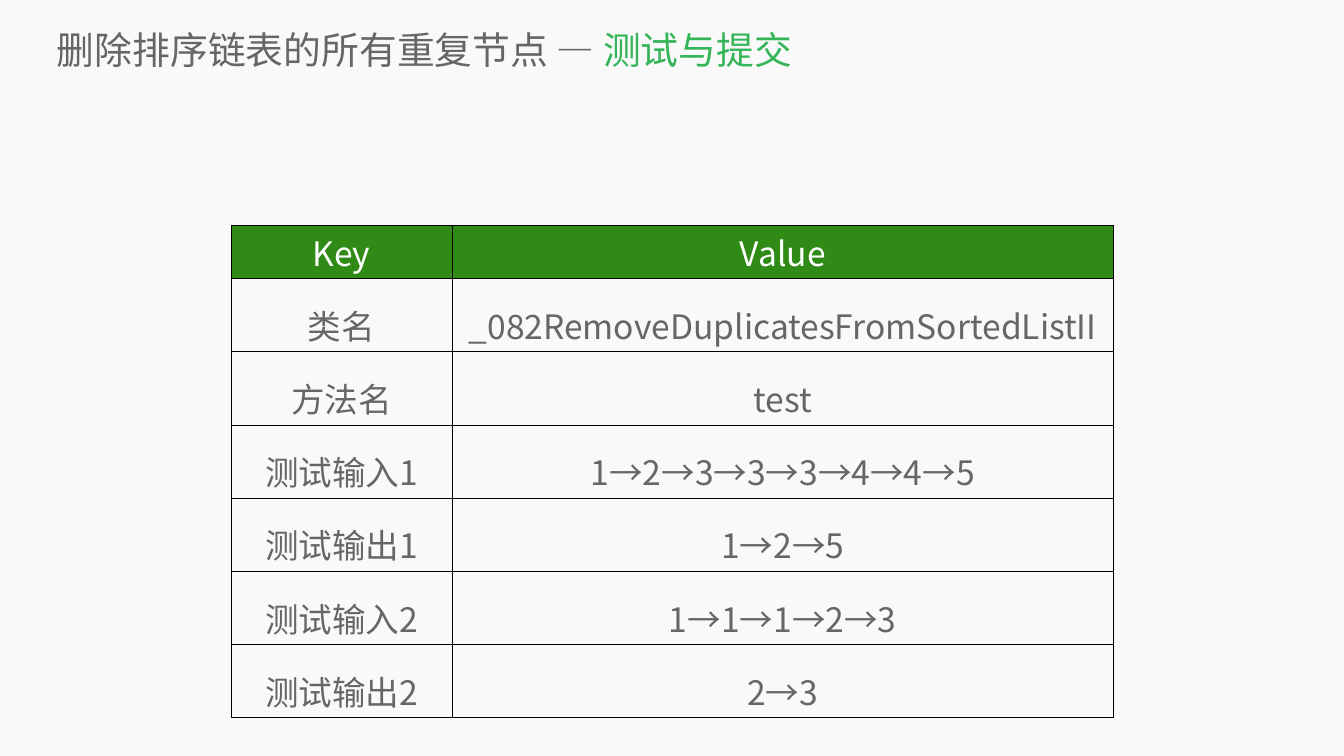
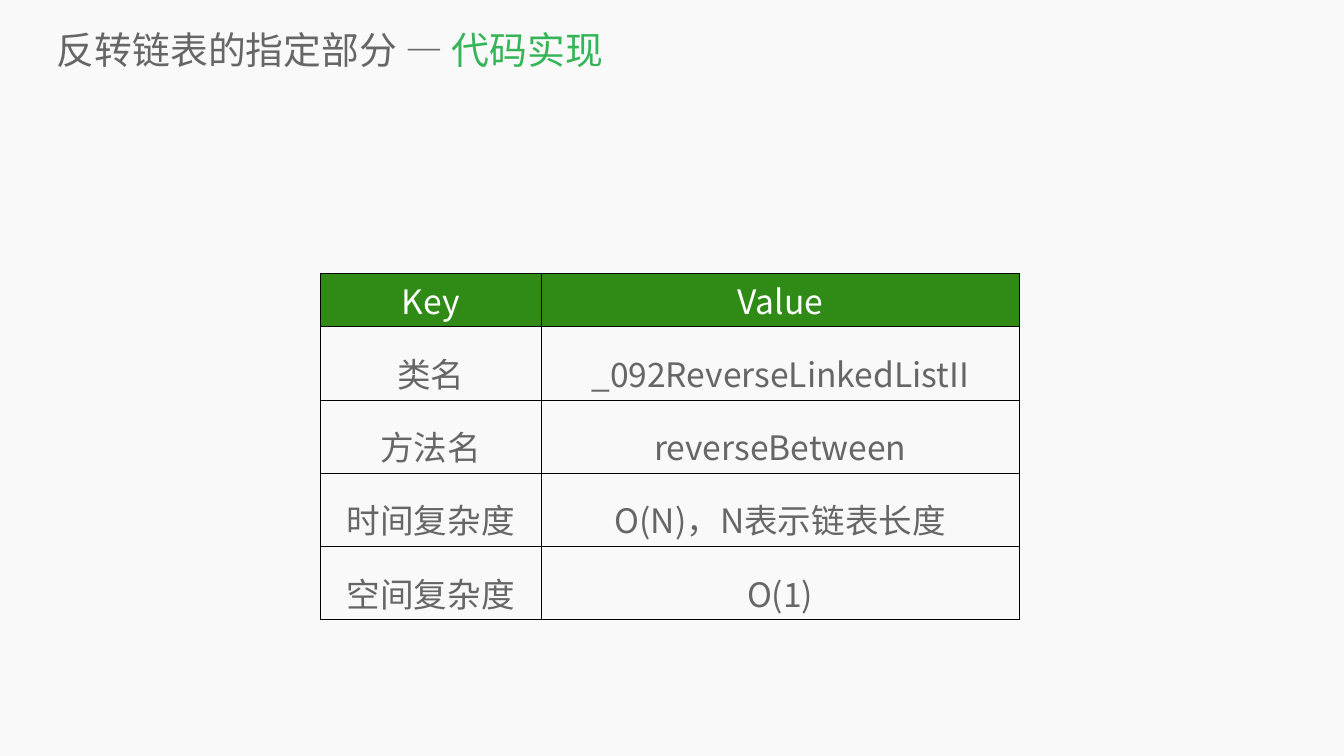
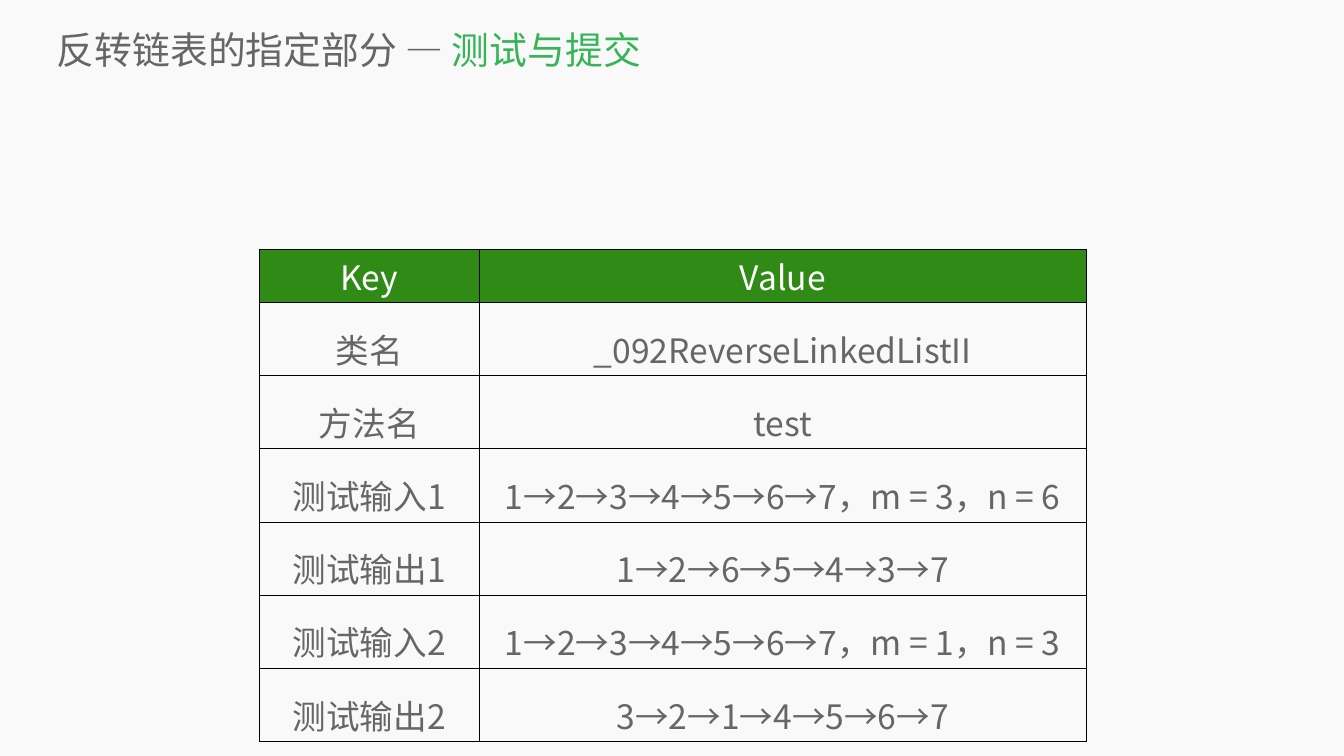
from lxml.etree import SubElement as Sub
from pptx import Presentation
from pptx.dml.color import RGBColor as Rgb
from pptx.enum.text import MSO_ANCHOR as Anchor, PP_ALIGN as Align
from pptx.oxml.ns import qn
from pptx.util import Pt

FONT = "Noto Sans CJK SC"
PAPER, GREY, GREEN = "F9F9F9", "666666", "35B558"
HEAD, WHITE, BLACK = "308B16", "FFFFFF", "000000"
KEY_W, HEAD_H, ROW_H = 315, 76.5, 104.5
TESTS = ["类名", "方法名", "测试输入1", "测试输出1", "测试输入2", "测试输出2"]
COSTS = ["类名", "方法名", "时间复杂度", "空间复杂度"]

PAGES = [
    dict(topic="删除排序链表的所有重复节点", part="测试与提交",
         left=330.5, top=321.5, width=945.4, keys=TESTS,
         values=["_082RemoveDuplicatesFromSortedListII", "test",
                 "1→2→3→3→3→4→4→5", "1→2→5", "1→1→1→2→3", "2→3"]),
    dict(topic="反转链表的指定部分", part="代码实现",
         left=457.9, top=390.2, width=683.3, keys=COSTS,
         values=["_092ReverseLinkedListII", "reverseBetween",
                 "O(N)，N表示链表长度", "O(1)"]),
    dict(topic="反转链表的指定部分", part="测试与提交",
         left=370.1, top=355.5, width=866.2, keys=TESTS,
         values=["_092ReverseLinkedListII", "test",
                 "1→2→3→4→5→6→7，m = 3，n = 6", "1→2→6→5→4→3→7",
                 "1→2→3→4→5→6→7，m = 1，n = 3", "3→2→1→4→5→6→7"]),
]


def rgb(code):
    """Turn a hex string into a colour."""
    return Rgb.from_string(code)


class Deck:
    """Holds the style and the current slide."""

    def __init__(self):
        """Start a deck with the shared slide size."""
        self.prs = Presentation()
        self.prs.slide_width, self.prs.slide_height = Pt(1920), Pt(1080)
        self.slide = None

    def page(self):
        """Add a slide on the shared background."""
        self.slide = self.prs.slides.add_slide(self.prs.slide_layouts[6])
        fill = self.slide.background.fill
        fill.solid()
        fill.fore_color.rgb = rgb(PAPER)

    def style(self, run, size, color):
        """Set the font of a run for Latin and Chinese text."""
        font = run.font
        font.size, font.name = Pt(size), FONT
        font.color.rgb = rgb(color)
        Sub(run._r.get_or_add_rPr(), qn("a:ea"), typeface=FONT)

    def title(self, topic, part):
        """Write the two-colour title."""
        box = self.slide.shapes.add_textbox(Pt(81.4), Pt(33.8), Pt(1811.5), Pt(73.4))
        frame = box.text_frame
        frame.word_wrap = True
        frame.vertical_anchor = Anchor.MIDDLE
        frame.margin_left = frame.margin_right = 0
        frame.margin_top = frame.margin_bottom = 0
        for text, color in ((f"{topic} — ", GREY), (part, GREEN)):
            run = frame.paragraphs[0].add_run()
            run.text = text
            self.style(run, 54, color)

    def border(self, cell):
        """Draw a thin line on all four sides of a cell."""
        props = cell._tc.get_or_add_tcPr()
        for side in "LRTB":
            line = Sub(props, qn(f"a:ln{side}"), w=str(Pt(1)))
            Sub(Sub(line, qn("a:solidFill")), qn("a:srgbClr"), val=BLACK)

    def cell(self, cell, text, head):
        """Fill one cell of the header or the body."""
        self.border(cell)
        if head:
            cell.fill.solid()
            cell.fill.fore_color.rgb = rgb(HEAD)
        else:
            cell.fill.background()
        cell.text = text
        para = cell.text_frame.paragraphs[0]
        para.alignment = Align.CENTER
        if not head:
            para.line_spacing = 1.4
        self.style(para.runs[0], 48, WHITE if head else GREY)

    def table(self, left, top, width, keys, values):
        """Build the key and value table."""
        rows = [("Key", "Value"), *zip(keys, values)]
        height = HEAD_H + ROW_H * len(keys)
        grid = self.slide.shapes.add_table(
            len(rows), 2, Pt(left), Pt(top), Pt(KEY_W + width), Pt(height)).table
        grid.first_row = grid.horz_banding = False
        grid.columns[0].width, grid.columns[1].width = Pt(KEY_W), Pt(width)
        for i, row in enumerate(rows):
            grid.rows[i].height = Pt(ROW_H if i else HEAD_H)
            for j, text in enumerate(row):
                self.cell(grid.cell(i, j), text, i == 0)


def main():
    """Build and save the slides."""
    deck = Deck()
    for page in PAGES:
        deck.page()
        deck.title(page["topic"], page["part"])
        deck.table(page["left"], page["top"], page["width"],
                   page["keys"], page["values"])
    deck.prs.save("out.pptx")


if __name__ == "__main__":
    main()
